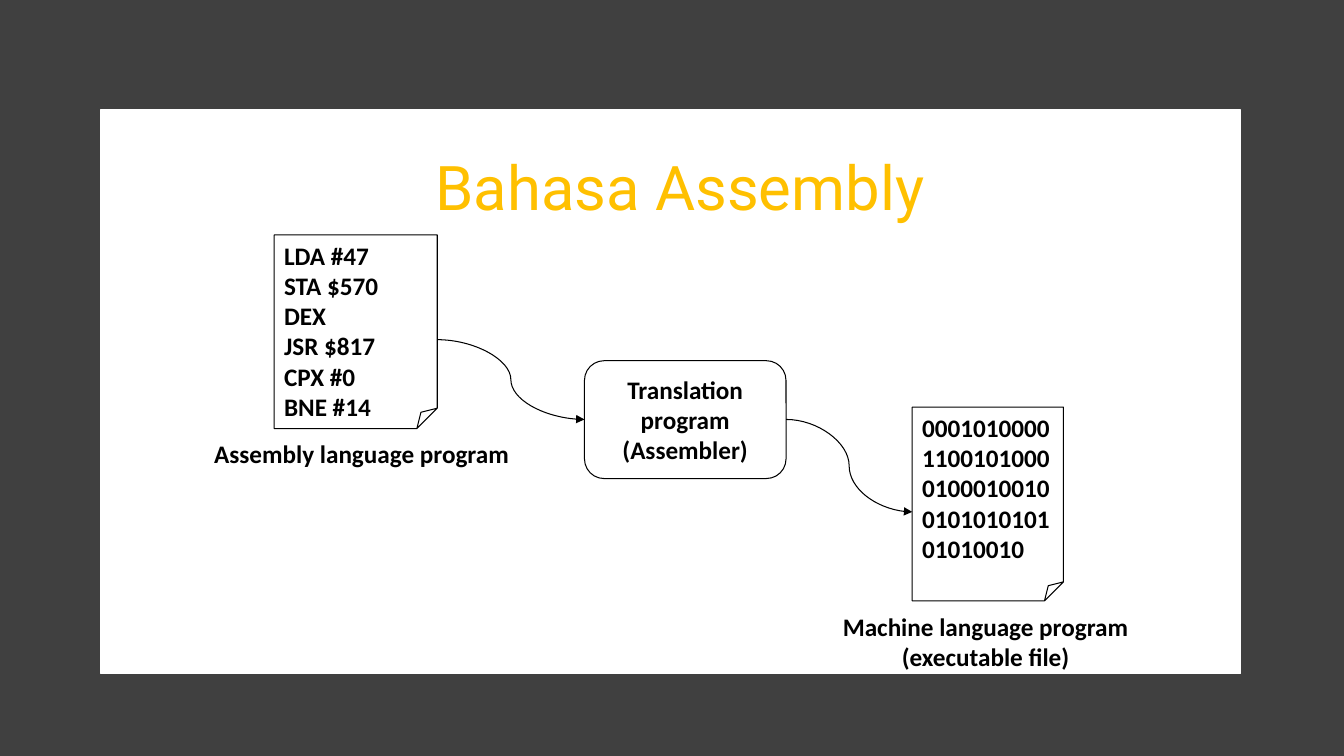
from pptx import Presentation
from pptx.dml.color import RGBColor
from pptx.enum.shapes import MSO_CONNECTOR as CONN, MSO_SHAPE as SHAPE
from pptx.enum.text import MSO_ANCHOR as ANCHOR, PP_ALIGN as ALIGN
from pptx.oxml.ns import qn
from pptx.util import Cm, Pt
from lxml.etree import SubElement

# Content: left, top, width, height in cm
TITLE = "Bahasa Assembly"
PANEL = (2.54, 2.77, 28.73, 14.2)
TITLE_BOX = (2.54, 2.95, 29.21, 3.68)
NODES = [
    dict(shape=SHAPE.FOLDED_CORNER, box=(6.91, 5.92, 4.11, 4.88),
         lines=["LDA #47", "STA $570", "DEX", "JSR $817", "CPX #0", "BNE #14"]),
    dict(shape=SHAPE.ROUNDED_RECTANGLE, box=(14.73, 9.09, 5.08, 2.97),
         lines=["Translation", "program", "(Assembler)"],
         fmt=dict(align=ALIGN.CENTER, anchor=ANCHOR.MIDDLE, wrap=False)),
    dict(shape=SHAPE.FOLDED_CORNER, box=(22.99, 10.26, 3.81, 4.88),
         lines=["000101000011001010000100010010010101010101010010"]),
]
CAPTIONS = [
    ((5.05, 10.92, 8.13, 1.02), ["Assembly language program"]),
    ((20.93, 15.27, 7.82, 1.8), ["Machine language program", "(executable file)"]),
]
ARROW_HEIGHTS = [(8.56, 10.57), (10.57, 12.9)]  # start and end of each arrow

DARK = RGBColor(0x40, 0x40, 0x40)
WHITE = RGBColor(0xFF, 0xFF, 0xFF)
BLACK = RGBColor(0, 0, 0)
GOLD = RGBColor(0xFF, 0xC0, 0x00)


def write(sp, lines, size=18, font="Calibri", color=BLACK, bold=True,
          align=ALIGN.LEFT, anchor=ANCHOR.TOP, wrap=True, spacing=None):
    tf = sp.text_frame
    tf.word_wrap = wrap
    tf.vertical_anchor = anchor
    for i, line in enumerate(lines):
        p = tf.add_paragraph() if i else tf.paragraphs[0]
        p.alignment = align
        p.line_spacing = spacing
        r = p.add_run()
        r.text = line
        r.font.size, r.font.name, r.font.bold = Pt(size), font, bold
        r.font.color.rgb = color


def add_outline(shape, box, line, width):
    sp = s.shapes.add_shape(shape, *map(Cm, box))
    sp.shadow.inherit = False
    sp.fill.background()
    sp.line.color.rgb = line
    sp.line.width = Pt(width)
    return sp


def set_fold(sp, share):
    guides = sp._element.spPr.find(qn("a:prstGeom")).find(qn("a:avLst"))
    SubElement(guides, qn("a:gd"), name="adj", fmla=f"val {round(share * 100000)}")


def add_arrow(x1, y1, x2, y2):
    c = s.shapes.add_connector(CONN.CURVE, Cm(x1), Cm(y1), Cm(x2), Cm(y2))
    c.line.color.rgb = BLACK
    c.line.width = Pt(0.75)
    SubElement(c.line._get_or_add_ln(), qn("a:tailEnd"), type="triangle")
    SubElement(c._element.spPr, qn("a:effectLst"))


prs = Presentation()
prs.slide_width, prs.slide_height = Cm(33.87), Cm(19.05)
s = prs.slides.add_slide(prs.slide_layouts[6])
s.background.fill.solid()
s.background.fill.fore_color.rgb = DARK

# Panel and title
panel = add_outline(SHAPE.RECTANGLE, PANEL, WHITE, 1)
panel.fill.solid()
panel.fill.fore_color.rgb = WHITE
write(s.shapes.add_textbox(*map(Cm, TITLE_BOX)), [TITLE], size=44, font="Roboto",
      color=GOLD, bold=False, align=ALIGN.CENTER, anchor=ANCHOR.MIDDLE, spacing=0.9)

# Programs and translator
for node in NODES:
    sp = add_outline(node["shape"], node["box"], BLACK, 0.75)
    if node["shape"] == SHAPE.FOLDED_CORNER:
        set_fold(sp, 0.125)
    write(sp, node["lines"], **node.get("fmt", {}))

# Captions
for box, lines in CAPTIONS:
    write(s.shapes.add_textbox(*map(Cm, box)), lines, align=ALIGN.CENTER, wrap=False)

# Arrows from each node's right edge to the next node's left edge
for a, b, (y1, y2) in zip(NODES, NODES[1:], ARROW_HEIGHTS):
    left, _, width, _ = a["box"]
    add_arrow(left + width, y1, b["box"][0], y2)

prs.save("out.pptx")
